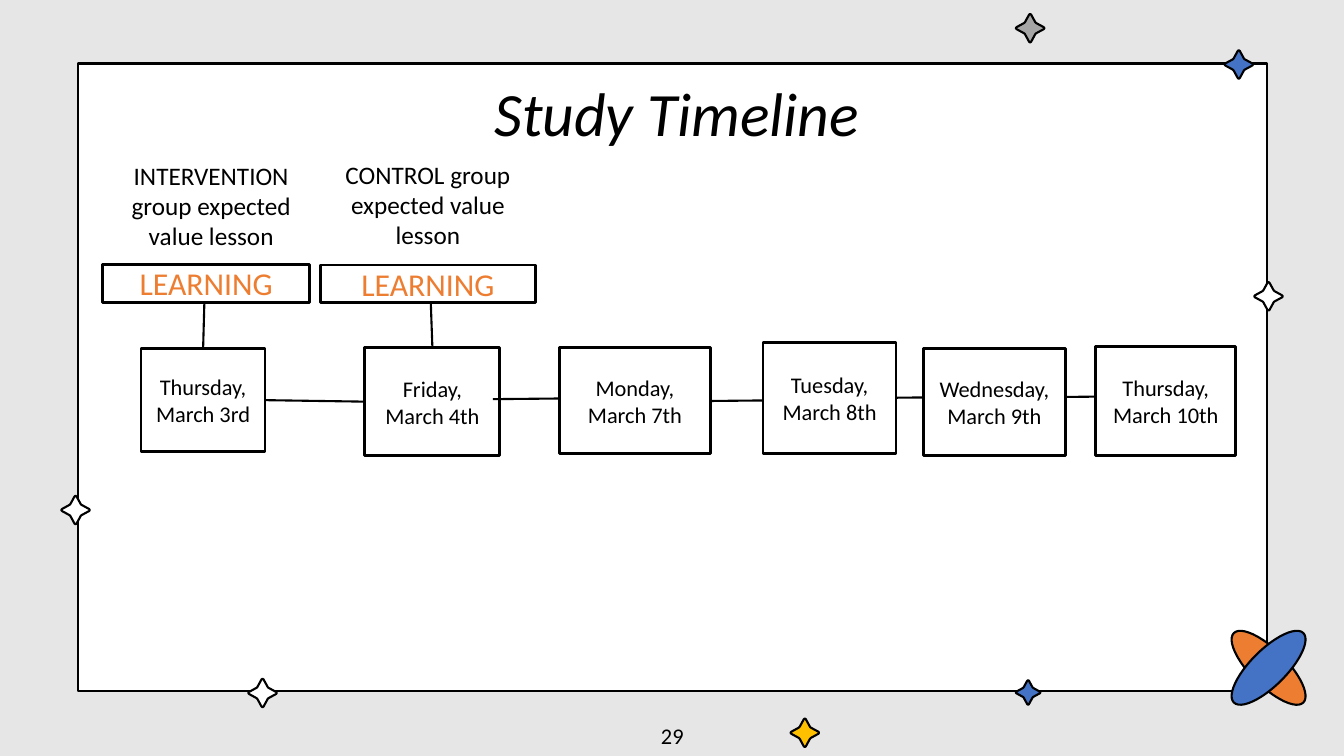
"""Build the Study Timeline slide on a grid of 160 columns by 90 rows."""
from dataclasses import dataclass

from lxml import etree
from pptx import Presentation
from pptx.dml.color import RGBColor
from pptx.enum.shapes import MSO_CONNECTOR, MSO_SHAPE
from pptx.enum.text import MSO_ANCHOR, MSO_AUTO_SIZE, PP_ALIGN
from pptx.oxml.ns import qn
from pptx.util import Emu, Pt

RECTANGLE, OVAL = MSO_SHAPE.RECTANGLE, MSO_SHAPE.OVAL
STRAIGHT = MSO_CONNECTOR.STRAIGHT
MIDDLE, CENTER = MSO_ANCHOR.MIDDLE, PP_ALIGN.CENTER
NO_FIT = MSO_AUTO_SIZE.NONE
TOP, LEFT, RIGHT = 0, 1, 3

COLUMNS, ROWS, CELL = 160, 90, 76200
INSET = 1.56
FONT = "Calibri"
TITLE_ONLY = 5
COLORS = {
    "backdrop": "E7E6E6", "white": "FFFFFF", "black": "000000", "gray": "A5A5A5",
    "blue": "4472C4", "orange": "ED7D31", "gold": "FFC000",
}
STAR_QUARTER = [(0, -1), (0.07, -0.95), (0.36, -0.42), (0.42, -0.36), (0.95, -0.07)]
LINK_LENGTH, LINK_RISE = 12, 0.12


@dataclass(frozen=True)
class Area:
    column: float
    row: float
    columns: float
    rows: float

    def bounds(self) -> list:
        return [cells(value) for value in (self.column, self.row, self.columns, self.rows)]


@dataclass(frozen=True)
class Star:
    column: float
    row: float
    color: str
    size: float = 3.4


@dataclass(frozen=True)
class Caption:
    text: str
    area: Area


STARS = [
    Star(122.4, 82.44, "blue", 2.94),
    Star(147.48, 7.68, "blue"),
    Star(95.82, 87.24, "gold"),
    Star(151.02, 35.28, "white"),
    Star(31.26, 82.5, "white"),
    Star(122.64, 3.36, "gray"),
    Star(9, 60.72, "white"),
]
FRIDAY = Caption("Friday, March 4th", Area(43.44, 41.4, 16.08, 12.84))
THURSDAY = Caption("Thursday, March 3rd", Area(16.8, 41.52, 14.76, 12.24))
LATER_DAYS = [
    Caption("Monday, March 7th", Area(66.6, 41.4, 18, 12.6)),
    Caption("Tuesday, March 8th", Area(90.84, 40.8, 15.84, 13.2)),
    Caption("Wednesday, March 9th", Area(109.92, 41.52, 16.92, 12.72)),
    Caption("Thursday, March 10th", Area(130.44, 41.28, 16.68, 12.96)),
]
LINK_STARTS = [(124.44, 47.28), (101.52, 47.4), (82.32, 47.76), (58.68, 47.52)]
NOTES = [
    Caption("CONTROL group expected value lesson", Area(37.8, 18.36, 26.28, 12)),
    Caption("INTERVENTION group expected value lesson", Area(12.84, 18.48, 24.6, 12)),
]
LESSONS = [
    Caption("LEARNING", Area(38.16, 31.56, 25.56, 4.44)),
    Caption("LEARNING", Area(12.24, 31.44, 24.6, 4.56)),
]
TITLE = Caption("Study Timeline", Area(13.2, 9.48, 134.76, 7.56))
PAGE_NUMBER = Caption("29", Area(62.04, 85.2, 36, 4.8))


def cells(count: float) -> Emu:
    return Emu(round(count * CELL))


def color(name: str) -> RGBColor:
    return RGBColor.from_string(COLORS[name])


def assign(target, values: dict) -> None:
    for name, value in values.items():
        setattr(target, name, value)


def paint(shape, fill: str, width: float) -> None:
    shape.shadow.inherit = False
    shape.fill.solid()
    shape.fill.fore_color.rgb = color(fill)
    shape.line.color.rgb = color("black")
    shape.line.width = Pt(width)


def write(shape, text: str, size: float, tint: str = "black",
          italic: bool = False, inset: float = INSET) -> None:
    frame = shape.text_frame
    sides = ("margin_left", "margin_top", "margin_right", "margin_bottom")
    assign(frame, {side: cells(inset) for side in sides})
    assign(frame, {"word_wrap": True, "auto_size": NO_FIT, "vertical_anchor": MIDDLE})
    para = frame.paragraphs[0]
    para.alignment = CENTER
    span = para.add_run()
    span.text = text
    assign(span.font, {"name": FONT, "size": Pt(size), "italic": italic})
    span.font.color.rgb = color(tint)


def draw_star(page, star: Star) -> None:
    radius = star.size / 2
    points = []
    quarter = STAR_QUARTER
    for _ in range(4):
        points += [(cells(star.column + x * radius), cells(star.row + y * radius))
                   for x, y in quarter]
        quarter = [(-y, x) for x, y in quarter]
    builder = page.shapes.build_freeform(*points[0], scale=1.0)
    builder.add_line_segments(points[1:], close=True)
    paint(builder.convert_to_shape(), star.color, 1.5)


def draw_petal(page, fill: str, angle: float) -> None:
    petal = page.shapes.add_shape(OVAL, *Area(145.17, 77.37, 11.7, 4.26).bounds())
    petal.rotation = angle
    paint(petal, fill, 1.5)


def draw_box(page, caption: Caption, size: float, tint: str = "black"):
    box = page.shapes.add_shape(RECTANGLE, *caption.area.bounds())
    paint(box, "white", 2)
    write(box, caption.text, size, tint)
    return box


def draw_text(page, caption: Caption, size: float, inset: float = INSET) -> None:
    box = page.shapes.add_textbox(*caption.area.bounds())
    write(box, caption.text, size, inset=inset)


def draw_line(page, start: tuple, end: tuple):
    points = [cells(value) for value in (*start, *end)]
    line = page.shapes.add_connector(STRAIGHT, *points)
    line.line.color.rgb = color("black")
    line.line.width = Pt(1.5)
    etree.SubElement(line.element.spPr, qn("a:effectLst"))
    return line


def main() -> None:
    deck = Presentation()
    assign(deck, {"slide_width": cells(COLUMNS), "slide_height": cells(ROWS)})
    page = deck.slides.add_slide(deck.slide_layouts[TITLE_ONLY])
    page.background.fill.solid()
    page.background.fill.fore_color.rgb = color("backdrop")

    panel = page.shapes.add_shape(RECTANGLE, *Area(9.24, 7.56, 141.6, 74.76).bounds())
    paint(panel, "white", 1.5)
    for fill, angle in (("orange", 45), ("blue", 315)):
        draw_petal(page, fill, angle)
    for star in STARS:
        draw_star(page, star)

    title = page.shapes.title
    title.element.getparent().append(title.element)
    assign(title, dict(zip(("left", "top", "width", "height"), TITLE.area.bounds())))
    write(title, TITLE.text, 44, italic=True)

    friday = draw_box(page, FRIDAY, 16)
    for column, row in LINK_STARTS:
        draw_line(page, (column, row), (column + LINK_LENGTH, row - LINK_RISE))
    thursday = draw_box(page, THURSDAY, 16)
    for day in LATER_DAYS:
        draw_box(page, day, 16)
    for note in NOTES:
        draw_text(page, note, 18)
    for day, column, row in ((thursday, 24.36, 34.92), (friday, 51.24, 34.68)):
        stem = draw_line(page, (column, row), (column, 41.4))
        stem.end_connect(day, TOP)
    for lesson in LESSONS:
        draw_box(page, lesson, 22.7, "orange")
    first_link = draw_line(page, (31.56, 47.64), (43.44, 47.82))
    first_link.begin_connect(thursday, RIGHT)
    first_link.end_connect(friday, LEFT)
    draw_text(page, PAGE_NUMBER, 16, inset=0.6)
    deck.save("out.pptx")


if __name__ == "__main__":
    main()
